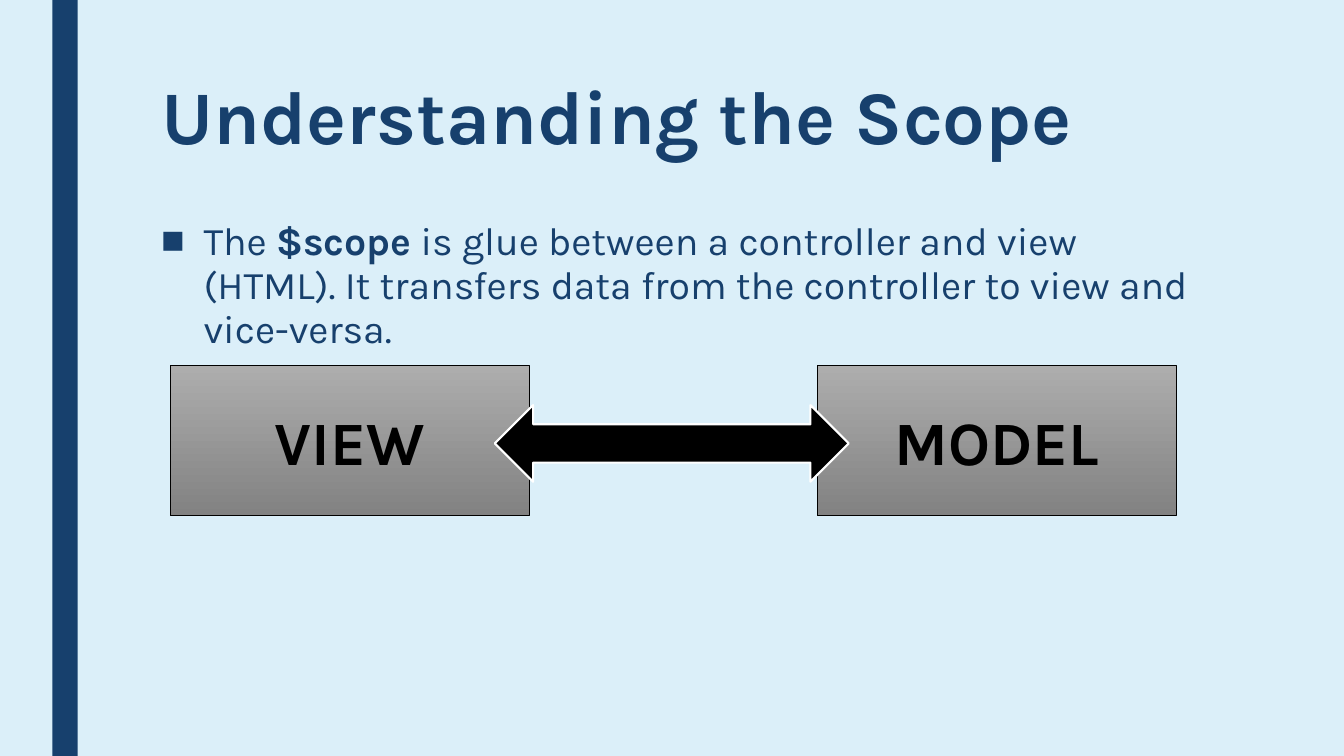
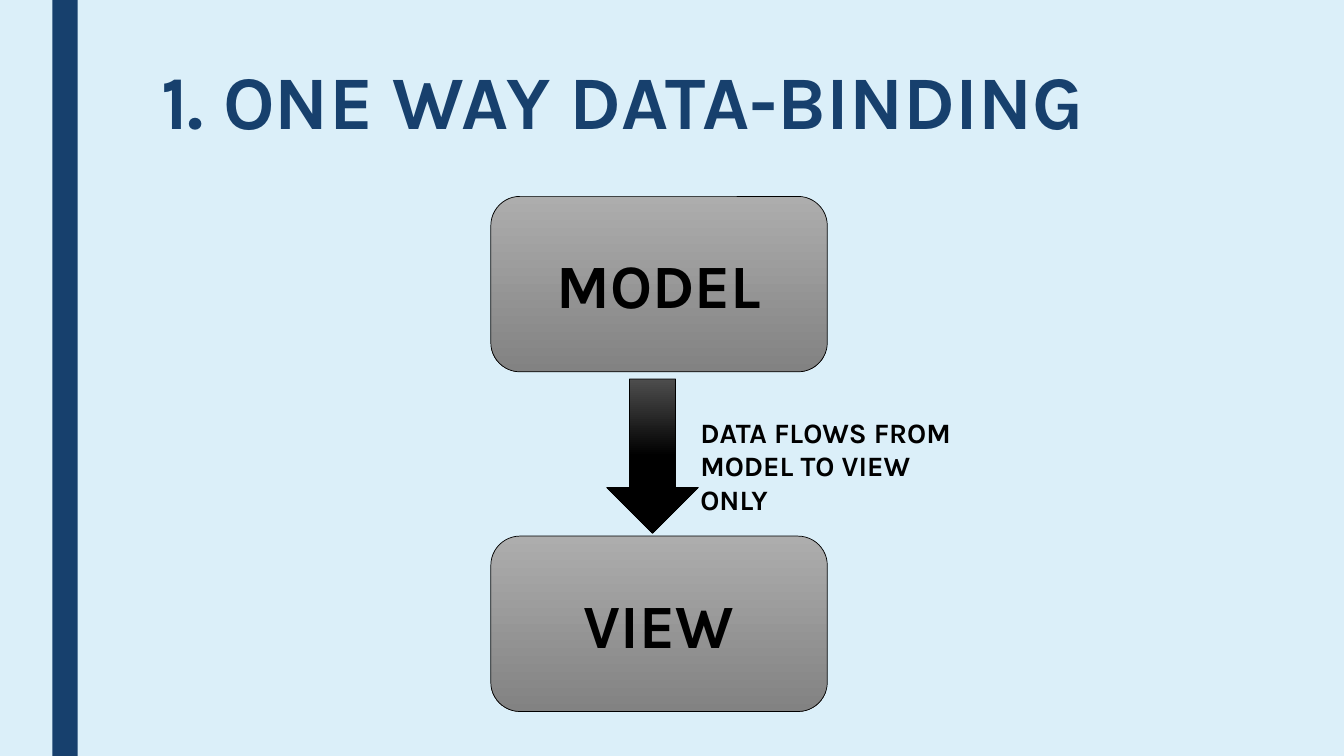
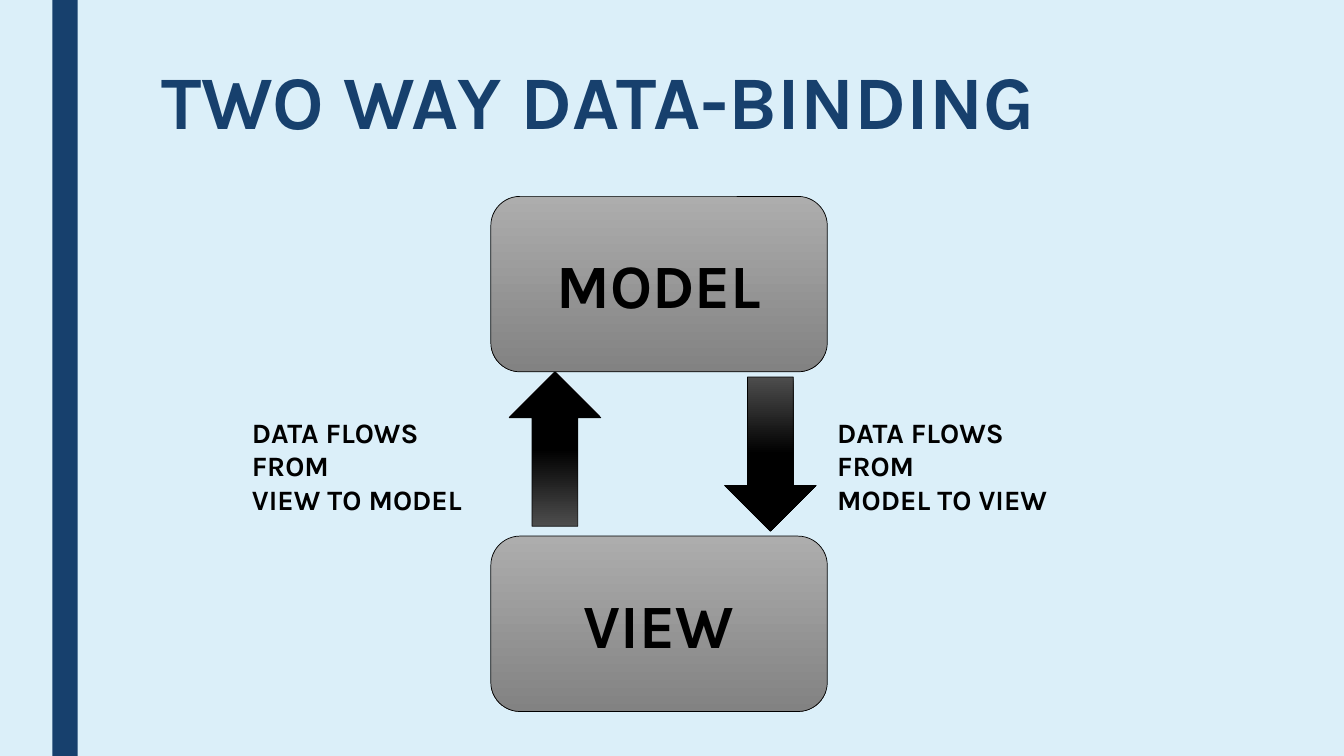
from dataclasses import dataclass

from lxml import etree
from pptx import Presentation
from pptx.dml import color
from pptx.enum import shapes, text
from pptx.oxml import ns
from pptx.util import Cm, Pt

RGB = color.RGBColor.from_string
SHAPE = shapes.MSO_SHAPE


@dataclass(frozen=True)
class Theme:
    font: str = "Karla"
    bullet_font: str = "Arial"
    background: str = "DBEFF9"
    navy: str = "17406D"
    black: str = "000000"
    white: str = "FFFFFF"
    card_fade: tuple = ("ADADAD", "828282", 1)
    arrow_fade: tuple = ("4D4D4D", "000000", 0.5)
    title_size: int = 54
    card_size: int = 44
    body_size: int = 28
    label_size: int = 20


@dataclass(frozen=True)
class Box:
    """A rectangle in centimetres."""
    left: float
    top: float
    width: float
    height: float

    def inner(self, left, top, width, height):
        return Box(self.left + left, self.top + top, width, height)

    def emu(self):
        return [Cm(v) for v in (self.left, self.top, self.width, self.height)]


THEME = Theme()
PAGE = Box(0, 0, 33.87, 19.05)
SCOPE_DIAGRAM = Box(4.29, 9.22, 25.35, 3.78)
BINDING_DIAGRAM = Box(12.37, 4.95, 8.48, 12.98)


# Basic parts
def style_runs(paragraph, size, ink, bold=True):
    for run in paragraph.runs:
        run.font.name = THEME.font
        run.font.size = Pt(size)
        run.font.bold = bold
        run.font.color.rgb = RGB(ink)


def add_text(slide, box, words, size, ink):
    frame = slide.shapes.add_textbox(*box.emu()).text_frame
    frame.word_wrap = True
    frame.text = words
    for paragraph in frame.paragraphs:
        style_runs(paragraph, size, ink)
    return frame


def add_figure(slide, kind, box, fill, line=None, line_width=0.5):
    """Fill is one colour, or a vertical fade (start, end, end position)."""
    figure = slide.shapes.add_shape(kind, *box.emu())
    figure.shadow.inherit = False
    if isinstance(fill, str):
        figure.fill.solid()
        figure.fill.fore_color.rgb = RGB(fill)
    else:
        start, end, end_position = fill
        figure.fill.gradient()
        figure.fill.gradient_angle = 270
        first, last = figure.fill.gradient_stops
        first.color.rgb, first.position = RGB(start), 0
        last.color.rgb, last.position = RGB(end), end_position
    if line:
        figure.line.color.rgb = RGB(line)
        figure.line.width = Pt(line_width)
    else:
        figure.line.fill.background()
    return figure


def add_card(slide, kind, box, caption):
    card = add_figure(slide, kind, box, THEME.card_fade, THEME.black)
    frame = card.text_frame
    frame.text = caption
    frame.vertical_anchor = text.MSO_ANCHOR.MIDDLE
    frame.paragraphs[0].alignment = text.PP_ALIGN.CENTER
    style_runs(frame.paragraphs[0], THEME.card_size, THEME.black)


# Shared frame of every slide
def add_page(deck, title, title_top=1.52):
    slide = deck.slides.add_slide(deck.slide_layouts[6])
    add_figure(slide, SHAPE.RECTANGLE, PAGE.inner(1.32, 0, 0.64, PAGE.height), THEME.navy)
    heading = add_text(slide, PAGE.inner(3.81, title_top, 26.67, 4.11), title,
                       THEME.title_size, THEME.navy)
    heading.paragraphs[0].line_spacing = 0.89
    return slide


# Bulleted statement with one bold term
def add_statement(slide, box, before, term, after):
    statement = add_text(slide, box, before, THEME.body_size, THEME.navy).paragraphs[0]
    for part in (term, after):
        statement.add_run().text = part
    style_runs(statement, THEME.body_size, THEME.navy, bold=False)
    statement.runs[1].font.bold = True
    statement.line_spacing = 0.94
    statement.space_before, statement.space_after = Pt(10), Pt(2)
    props = statement._p.get_or_add_pPr()
    indent = Cm(1.07)
    props.set("marL", str(indent))
    props.set("indent", str(-indent))
    etree.SubElement(props, ns.qn("a:buFont"), typeface=THEME.bullet_font)
    etree.SubElement(props, ns.qn("a:buChar"), char="■")


# View and model side by side, joined by a double arrow
def add_scope_diagram(slide, box):
    card_width = 9.04
    for left, caption in ((0, "VIEW"), (box.width - card_width, "MODEL")):
        add_card(slide, SHAPE.RECTANGLE,
                 box.inner(left, 0, card_width, box.height), caption)
    add_figure(slide, SHAPE.LEFT_RIGHT_ARROW, box.inner(8.18, 0.99, 8.92, 1.93),
               THEME.black, THEME.white, 1.5)


# Model above view
def add_binding_cards(slide, box):
    card_height = 4.42
    for top, caption in ((0, "MODEL"), (box.height - card_height, "VIEW")):
        add_card(slide, SHAPE.ROUNDED_RECTANGLE,
                 box.inner(0, top, box.width, card_height), caption)


# One arrow between the cards, with its label
def add_flow(slide, box, arrow_at, label_left, label_width, label, upward=False):
    arrow = add_figure(slide, SHAPE.DOWN_ARROW, box.inner(*arrow_at, 2.31, 3.89),
                       THEME.arrow_fade, THEME.black)
    arrow.rotation = 180 if upward else 0
    add_text(slide, box.inner(label_left, 5.39, label_width, 1.96),
             label, THEME.label_size, THEME.black)


# Slides
def scope_slide(deck):
    slide = add_page(deck, "Understanding the Scope", title_top=1.9)
    add_statement(slide, PAGE.inner(3.81, 5.41, 26.67, 10.9), "The ", "$scope",
                  " is glue between a controller and view (HTML). It transfers "
                  "data from the controller to view and vice-versa.")
    add_scope_diagram(slide, SCOPE_DIAGRAM)


def binding_slide(deck, title, flows):
    slide = add_page(deck, title)
    add_binding_cards(slide, BINDING_DIAGRAM)
    for flow in flows:
        add_flow(slide, BINDING_DIAGRAM, *flow)


def main():
    deck = Presentation()
    deck.slide_width, deck.slide_height = Cm(PAGE.width), Cm(PAGE.height)
    backdrop = deck.slide_master.background.fill
    backdrop.solid()
    backdrop.fore_color.rgb = RGB(THEME.background)

    scope_slide(deck)
    binding_slide(deck, "1. ONE WAY DATA-BINDING", [
        ((2.92, 4.6), 5.03, 7.16, "DATA FLOWS FROM\nMODEL TO VIEW ONLY"),
    ])
    binding_slide(deck, "TWO WAY DATA-BINDING", [
        ((5.89, 4.55), 8.48, 6.5, "DATA FLOWS FROM\nMODEL TO VIEW"),
        ((0.46, 4.42), -6.27, 6.5, "DATA FLOWS FROM\nVIEW TO MODEL", True),
    ])
    deck.save("out.pptx")


if __name__ == "__main__":
    main()
